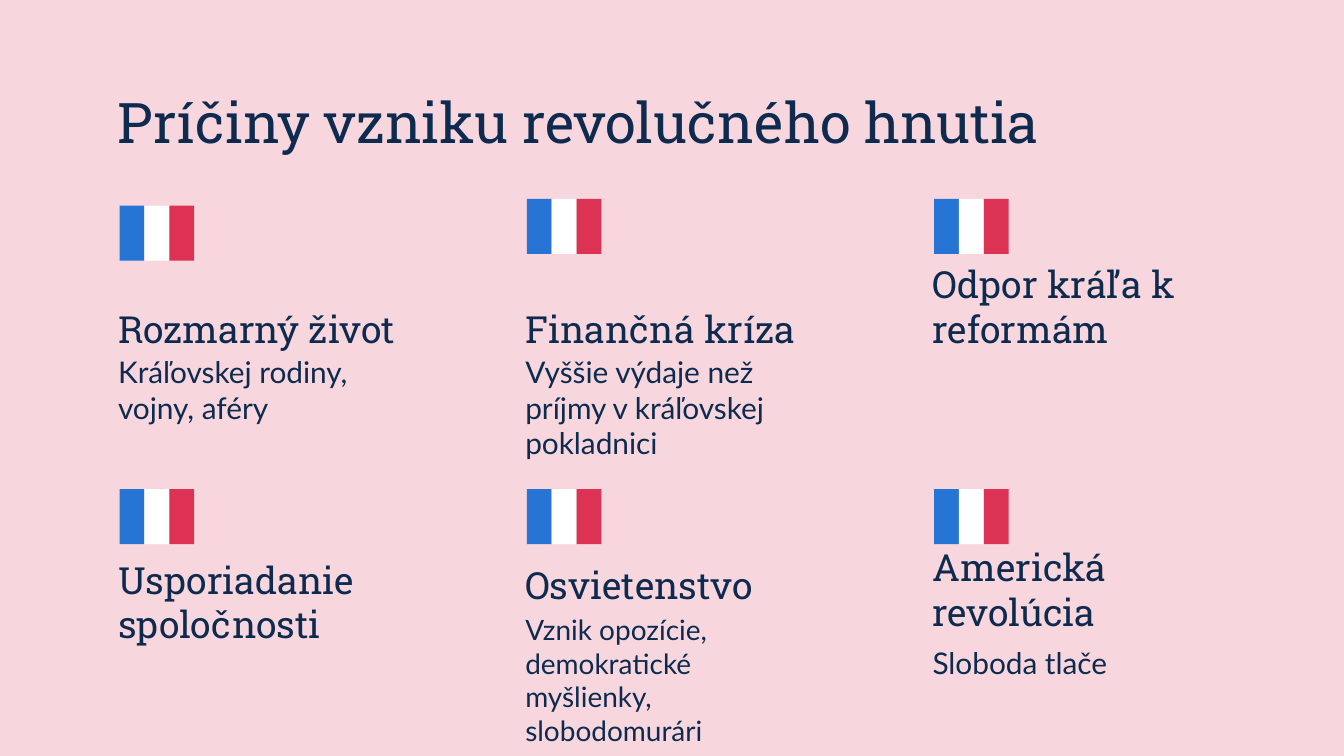
from pptx import Presentation
from pptx.dml.color import RGBColor
from pptx.enum.shapes import MSO_SHAPE
from pptx.enum.text import MSO_ANCHOR
from pptx.util import Inches, Pt

PINK = RGBColor(0xF7, 0xD6, 0xDD)
NAVY = RGBColor(0x0E, 0x2B, 0x4F)
BLUE = RGBColor(0x26, 0x74, 0xD4)
WHITE = RGBColor(0xFF, 0xFF, 0xFF)
RED = RGBColor(0xDC, 0x33, 0x54)

SLIDE_WIDTH = Inches(10)
MARGIN = 0.78
COLUMN_STEP = 3.03
COLUMN_WIDTH = 2.38
HEADING_HEIGHT = 0.56
DETAIL_HEIGHT = 0.63
FLAG_INDENT = 0.11
STRIPE_WIDTH = 0.185
STRIPE_HEIGHT = 0.41

presentation = Presentation()
presentation.slide_width = SLIDE_WIDTH
presentation.slide_height = SLIDE_WIDTH * 9 // 16
slide = presentation.slides.add_slide(presentation.slide_layouts[6])
slide.background.fill.solid()
slide.background.fill.fore_color.rgb = PINK


def add_text(text, left, top, width, height, size, font="Roboto Slab",
             anchor=MSO_ANCHOR.BOTTOM):
    """Add one wrapped navy paragraph; lengths are in inches."""
    frame = slide.shapes.add_textbox(
        Inches(left), Inches(top), Inches(width), Inches(height)).text_frame
    frame.word_wrap = True
    frame.vertical_anchor = anchor
    frame.margin_left = frame.margin_right = Inches(0.1)
    frame.margin_top = frame.margin_bottom = Inches(0.1)
    run = frame.paragraphs[0].add_run()
    run.text = text
    run.font.size = Pt(size)
    run.font.name = font
    run.font.color.rgb = NAVY


def add_flag(left, top):
    """Add a grouped tricolour flag with its top left corner in inches."""
    flag = slide.shapes.add_group_shape()
    for position, colour in enumerate((BLUE, WHITE, RED)):
        stripe = flag.shapes.add_shape(
            MSO_SHAPE.RECTANGLE, Inches(left + position * STRIPE_WIDTH),
            Inches(top), Inches(STRIPE_WIDTH), Inches(STRIPE_HEIGHT))
        stripe.shadow.inherit = False
        stripe.fill.solid()
        stripe.fill.fore_color.rgb = colour
        stripe.line.fill.background()


add_text("Príčiny vzniku revolučného hnutia", MARGIN, 0.59,
         2 * COLUMN_STEP + COLUMN_WIDTH, 0.63, size=30,
         anchor=MSO_ANCHOR.MIDDLE)

# Column, flag top, heading, heading top, detail, detail top, detail size
causes = [
    (0, 1.53, "Rozmarný život", 2.15,
     "Kráľovskej rodiny, vojny, aféry", 2.53, 16),
    (1, 1.48, "Finančná kríza", 2.15,
     "Vyššie výdaje než príjmy v kráľovskej pokladnici", 2.53, 16),
    (2, 1.48, "Odpor kráľa k reformám", 2.15, None, None, None),
    (0, 3.64, "Usporiadanie spoločnosti", 4.35, None, None, None),
    (1, 3.64, "Osvietenstvo", 4.06,
     "Vznik opozície, demokratické myšlienky, slobodomurári", 4.46, 15),
    (2, 3.64, "Americká revolúcia", 4.26, "Sloboda tlače", 4.7, 16),
]

for column, flag_top, heading, heading_top, detail, detail_top, size in causes:
    left = MARGIN + column * COLUMN_STEP
    add_flag(left + FLAG_INDENT, flag_top)
    add_text(heading, left, heading_top, COLUMN_WIDTH, HEADING_HEIGHT, size=20)
    if detail:
        add_text(detail, left, detail_top, COLUMN_WIDTH, DETAIL_HEIGHT,
                 size=size, font="Lato", anchor=MSO_ANCHOR.TOP)

presentation.save("out.pptx")
